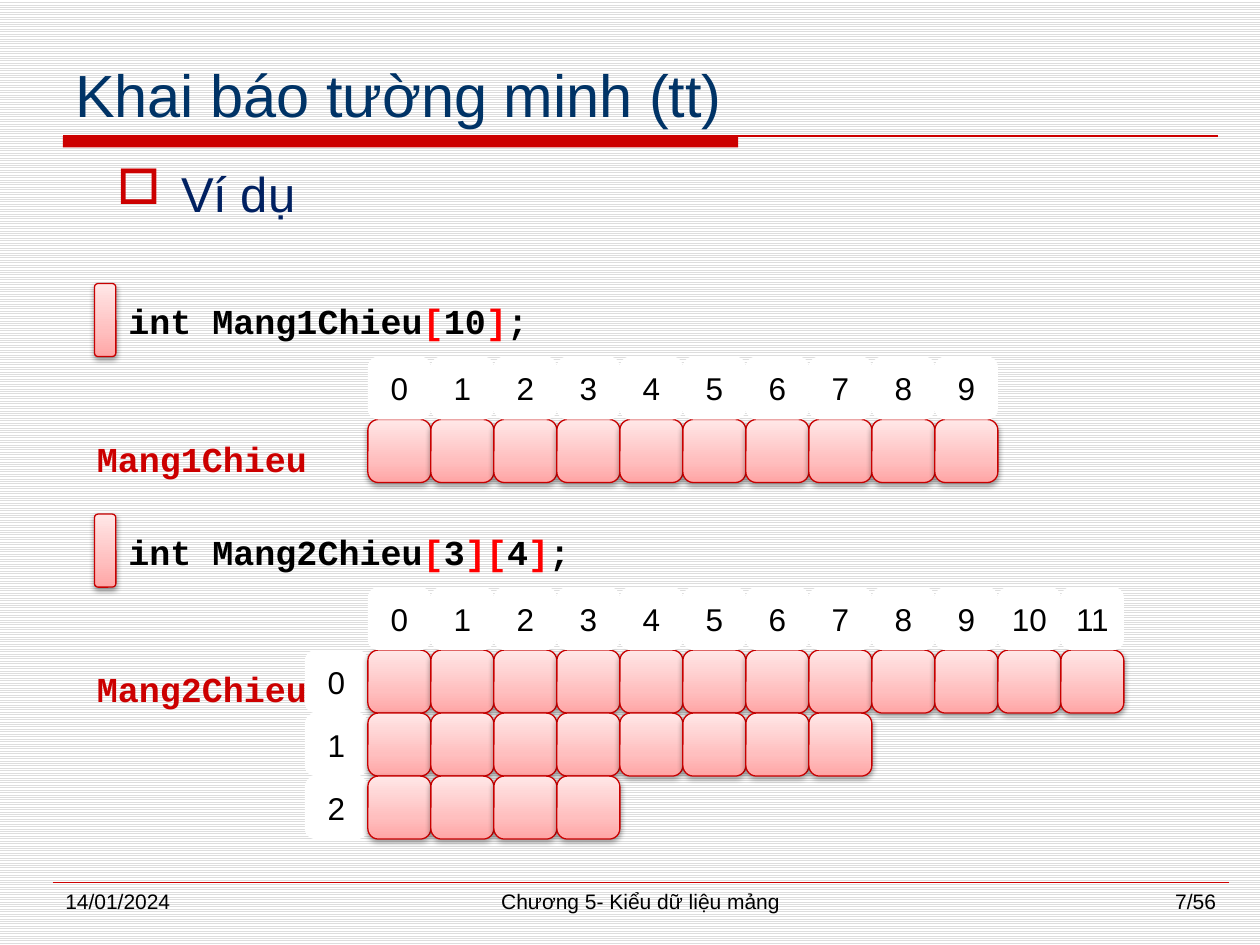
from lxml import etree
from pptx import Presentation
from pptx.dml.color import RGBColor
from pptx.enum.dml import MSO_PATTERN
from pptx.enum.shapes import MSO_CONNECTOR, MSO_SHAPE
from pptx.enum.text import MSO_ANCHOR, PP_ALIGN
from pptx.oxml import parse_xml
from pptx.oxml.ns import nsdecls, qn
from pptx.util import Inches, Pt

BLACK = RGBColor(0x00, 0x00, 0x00)
WHITE = RGBColor(0xFF, 0xFF, 0xFF)
STRIPE = RGBColor(0xDD, 0xDD, 0xDD)
RED = RGBColor(0xCC, 0x00, 0x00)
BRACKET_RED = RGBColor(0xFF, 0x00, 0x00)
OUTLINE_RED = RGBColor(0xC8, 0x00, 0x00)
TITLE_BLUE = RGBColor(0x00, 0x33, 0x66)
BODY_BLUE = RGBColor(0x00, 0x20, 0x60)

PINK_GRADIENT = f"""<a:gradFill {nsdecls('a')} rotWithShape="1"><a:gsLst>
<a:gs pos="0"><a:srgbClr val="FFA5A5"/></a:gs>
<a:gs pos="35000"><a:srgbClr val="FFBFBF"/></a:gs>
<a:gs pos="100000"><a:srgbClr val="FFE7E7"/></a:gs>
</a:gsLst><a:lin ang="16200000" scaled="1"/></a:gradFill>"""
SOFT_SHADOW = f"""<a:effectLst {nsdecls('a')}>
<a:outerShdw blurRad="40000" dist="20000" dir="5400000" rotWithShape="0">
<a:srgbClr val="000000"><a:alpha val="38000"/></a:srgbClr>
</a:outerShdw></a:effectLst>"""

CELL = 0.5
GRID_LEFT = 2.92

prs = Presentation()
prs.slide_width, prs.slide_height = Inches(10), Inches(7.5)
slide = prs.slides.add_slide(prs.slide_layouts[6])
shapes = slide.shapes

backdrop = slide.background.fill
backdrop.patterned()
backdrop.pattern = MSO_PATTERN.LIGHT_HORIZONTAL
backdrop.fore_color.rgb = STRIPE
backdrop.back_color.rgb = WHITE


def add_text(left, top, width, height, text, size, color, font="Arial",
             align=PP_ALIGN.LEFT):
    box = shapes.add_textbox(Inches(left), Inches(top), Inches(width), Inches(height))
    box.text_frame.word_wrap = True
    paragraph = box.text_frame.paragraphs[0]
    paragraph.text = text
    paragraph.alignment = align
    paragraph.font.size = Pt(size)
    paragraph.font.name = font
    paragraph.font.color.rgb = color
    return box.text_frame


def add_block(left, top, width=CELL, height=CELL, index=None):
    """Add a pink array cell, or a white label if an index is given."""
    block = shapes.add_shape(MSO_SHAPE.ROUNDED_RECTANGLE, Inches(left), Inches(top),
                             Inches(width), Inches(height))
    if index is None:
        block.line.color.rgb = OUTLINE_RED
        block.line.width = Pt(0.75)
        properties = block.fill._xPr
        properties.find(qn("a:ln")).addprevious(parse_xml(PINK_GRADIENT))
        properties.append(parse_xml(SOFT_SHADOW))
        return
    block.shadow.inherit = False
    block.fill.solid()
    block.fill.fore_color.rgb = WHITE
    block.line.fill.background()
    frame = block.text_frame
    frame.word_wrap = False
    frame.vertical_anchor = MSO_ANCHOR.MIDDLE
    paragraph = frame.paragraphs[0]
    paragraph.text = str(index)
    paragraph.alignment = PP_ALIGN.CENTER
    paragraph.font.size = Pt(18)
    paragraph.font.name = "Arial"
    paragraph.font.color.rgb = BLACK


# Title rule and footer rule
title_bar = shapes.add_shape(MSO_SHAPE.RECTANGLE, Inches(0.5), Inches(1.08),
                             Inches(5.36), Inches(0.09))
title_bar.shadow.inherit = False
title_bar.fill.solid()
title_bar.fill.fore_color.rgb = RED
title_bar.line.fill.background()
for start, end, y, weight in [(0.5, 9.67, 1.08, 1.5), (0.42, 9.75, 7, 0.25)]:
    rule = shapes.add_connector(MSO_CONNECTOR.STRAIGHT, Inches(start), Inches(y),
                                Inches(end), Inches(y))
    rule.line.color.rgb = RED
    rule.line.width = Pt(weight)
    etree.SubElement(rule._element.spPr, qn("a:effectLst"))

# Title and bullet
title = add_text(0.5, 0.33, 9.17, 0.75, "Khai báo tường minh (tt)", 34, TITLE_BLUE)
title.vertical_anchor = MSO_ANCHOR.BOTTOM

example = add_text(0.83, 1.25, 8.67, 5.67, "Ví dụ", 28, BODY_BLUE,
                   align=PP_ALIGN.JUSTIFY)
bullet = example.paragraphs[0]._p.get_or_add_pPr()
bullet.set("marL", str(Inches(0.51)))
bullet.set("indent", str(-Inches(0.51)))
bullet.insert(0, parse_xml(
    f'<a:buClr {nsdecls("a")}><a:srgbClr val="{RED}"/></a:buClr>'))
bullet.insert(1, parse_xml(f'<a:buChar {nsdecls("a")} char="□"/>'))

# Arrays: top, name, declared size, cells in each row
arrays = [
    (2.25, "Mang1Chieu", ["[", "10", "]"], [10]),
    (4.08, "Mang2Chieu", ["[", "3", "][", "4", "]"], [12, 8, 4]),
]
for top, name, size_parts, row_lengths in arrays:
    add_block(0.75, top, 0.17, 0.58)
    code = add_text(0.92, top + 0.08, 9.08, 0.44, f"int {name}", 20, BLACK,
                    "Courier New").paragraphs[0]
    code.font.bold = True
    for part in size_parts + [";"]:
        run = code.add_run()
        run.text = part
        if "[" in part or "]" in part:
            run.font.color.rgb = BRACKET_RED

    cells_top = top + 1.08
    if len(row_lengths) > 1:
        for row in range(len(row_lengths)):
            add_block(GRID_LEFT - CELL, cells_top + row * CELL, index=row)
    for row, length in enumerate(row_lengths):
        for column in range(length):
            add_block(GRID_LEFT + column * CELL, cells_top + row * CELL)
    for column in range(row_lengths[0]):
        add_block(GRID_LEFT + column * CELL, cells_top - CELL, index=column)
    label = add_text(0.67, top + 1.17, 2, 0.44, name, 20, RED, "Courier New")
    label.paragraphs[0].font.bold = True

# Footer
for left, width, text, align in [
    (0.42, 2.17, "14/01/2024", PP_ALIGN.LEFT),
    (2.92, 4.33, "Chương 5- Kiểu dữ liệu mảng", PP_ALIGN.CENTER),
    (7.58, 2.17, "7/56", PP_ALIGN.RIGHT),
]:
    add_text(left, 7, width, 0.35, text, 12, BLACK, align=align)

prs.save("out.pptx")
